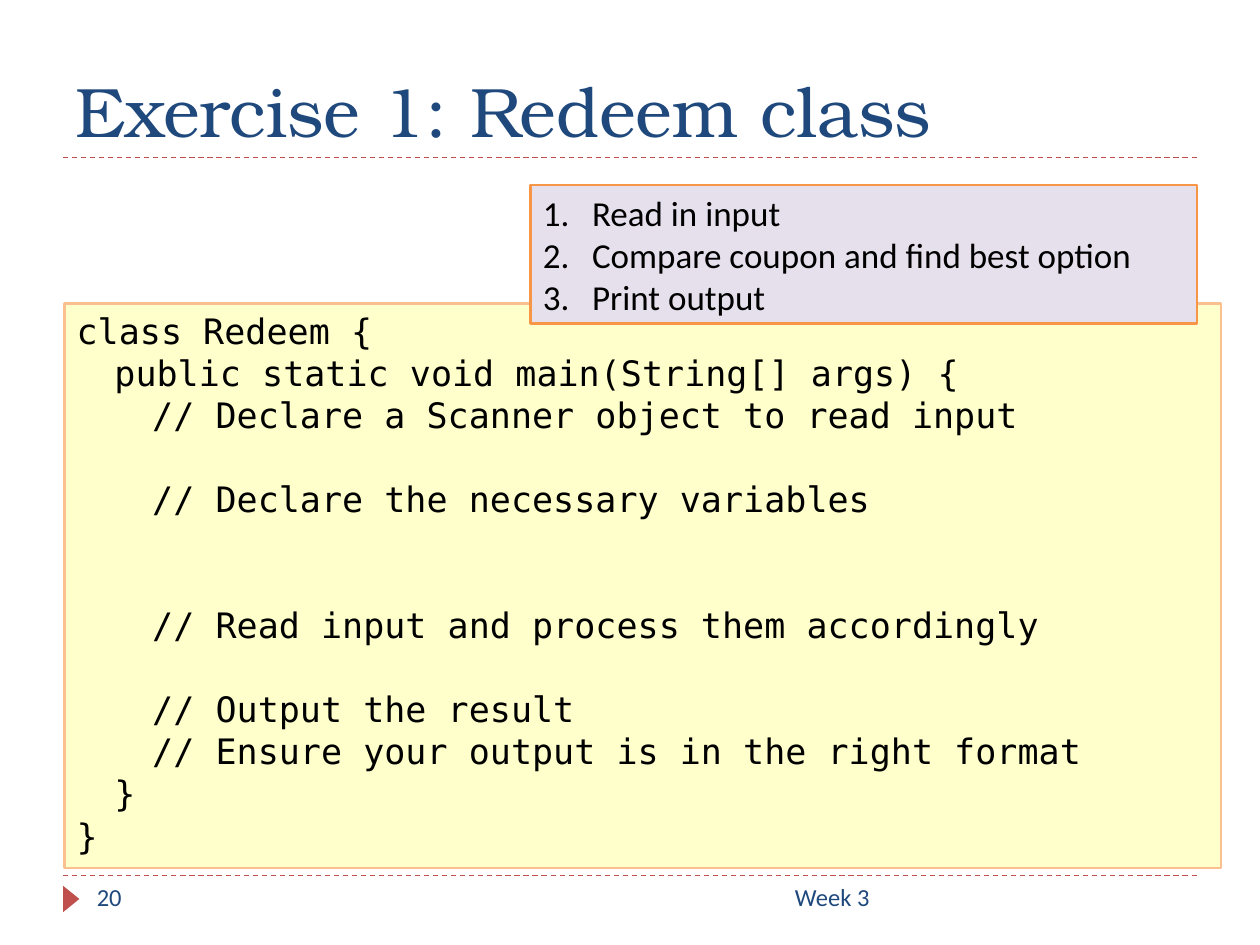
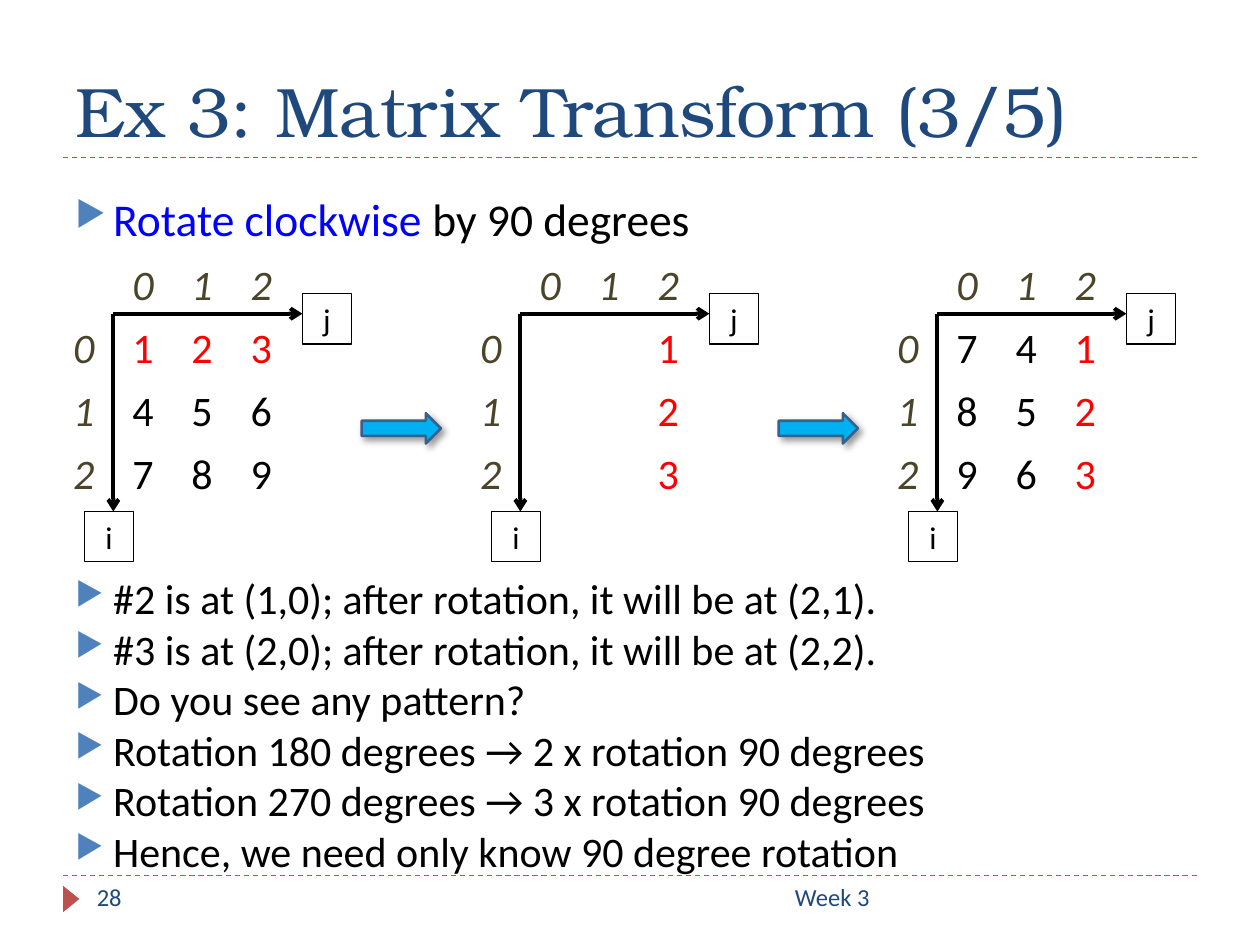
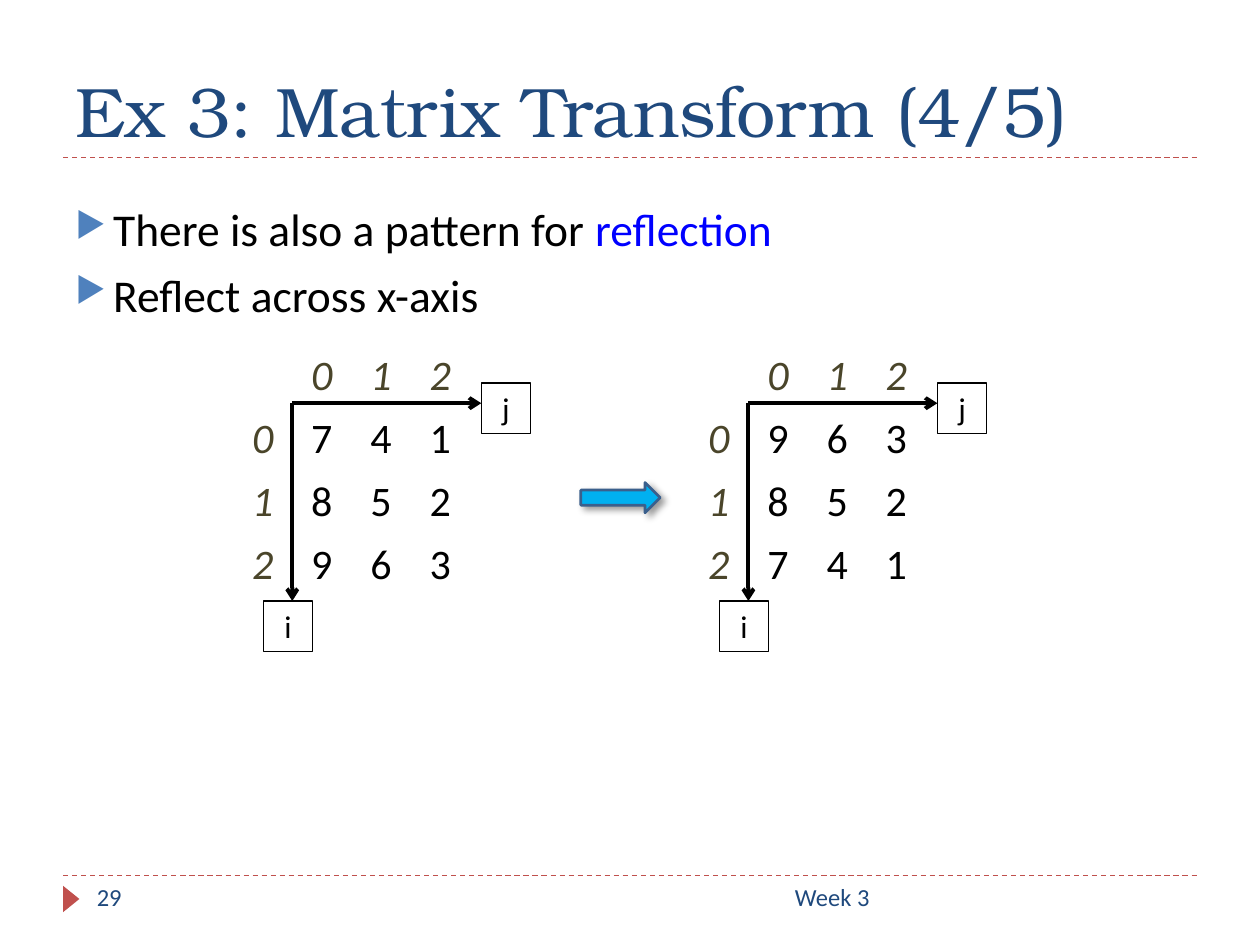
import pptx
import pptx.dml.color
import pptx.enum.dml
import pptx.enum.shapes
import pptx.enum.text
import pptx.oxml.ns
import pptx.util
from lxml import etree

Inches = pptx.util.Inches
Pt = pptx.util.Pt
Align = pptx.enum.text.PP_ALIGN
Preset = pptx.enum.shapes.MSO_SHAPE

COLORS = {
    "black": "000000",
    "navy": "1F497D",
    "rule": "C0504D",
    "bullet": "4F81BD",
    "highlight": "0000FF",
    "index": "4A452A",
    "tracked": "FF0000",
    "code_fill": "FFFFCC",
    "code_line": "FAC090",
    "steps_fill": "E6E0EC",
    "steps_line": "F79646",
    "arrow_fill": "00B0F0",
    "arrow_line": "3A5F8C",
}
BODY_FONT = "Calibri"
CODE_FONT = "DejaVu Sans Mono"
TITLE_FONT = "TeX Gyre Bonum"
CELL_WIDTH = 0.47
ROW_HEIGHT = 0.5
CODE_LINE = 24


def color(name):
    return pptx.dml.color.RGBColor.from_string(COLORS[name])


def add_child(parent, tag, **attributes):
    child = etree.SubElement(parent, pptx.oxml.ns.qn(tag))
    for name, value in attributes.items():
        child.set(name, str(value))
    return child


def add_run(paragraph, text, size, color_name="black", font=BODY_FONT, italic=False):
    run = paragraph.add_run()
    run.text = text
    run.font.size = Pt(size)
    run.font.name = font
    run.font.italic = italic
    run.font.color.rgb = color(color_name)


def add_paragraph(frame, index):
    return frame.add_paragraph() if index else frame.paragraphs[0]


def set_indent(paragraph, left, first=0):
    properties = paragraph._p.get_or_add_pPr()
    properties.set("marL", str(Inches(left)))
    properties.set("indent", str(Inches(first)))
    return properties


def add_text(slide, box, text, size, font=BODY_FONT, align=Align.LEFT,
             anchor=pptx.enum.text.MSO_ANCHOR.TOP):
    frame = slide.shapes.add_textbox(*map(Inches, box)).text_frame
    frame.word_wrap = True
    frame.vertical_anchor = anchor
    paragraph = frame.paragraphs[0]
    paragraph.alignment = align
    add_run(paragraph, text, size, "navy", font)


def add_shape(slide, preset, box, fill=None, line=None, width=0.75):
    shape = slide.shapes.add_shape(preset, *map(Inches, box))
    shape.shadow.inherit = False
    if fill:
        shape.fill.solid()
        shape.fill.fore_color.rgb = color(fill)
    else:
        shape.fill.background()
    if line:
        shape.line.color.rgb = color(line)
        shape.line.width = Pt(width)
    else:
        shape.line.fill.background()
    return shape


def add_line(slide, start, end, color_name, width, dashed=False, arrow=False):
    connector = slide.shapes.add_connector(
        pptx.enum.shapes.MSO_CONNECTOR.STRAIGHT, *map(Inches, start + end))
    connector.line.color.rgb = color(color_name)
    connector.line.width = Pt(width)
    if dashed:
        connector.line.dash_style = pptx.enum.dml.MSO_LINE.DASH
    if arrow:
        add_child(connector.line._get_or_add_ln(), "a:tailEnd", type="arrow")
    add_child(connector._element.spPr, "a:effectLst")


def add_base(presentation, title, number):
    slide = presentation.slides.add_slide(presentation.slide_layouts[6])
    for y in (6.95, 1.25):
        add_line(slide, (0.5, y), (9.5, y), "rule", 0.75, dashed=True)
    marker = add_shape(slide, Preset.ISOSCELES_TRIANGLE, (0.46, 7.07, 0.21, 0.13), "rule")
    marker.rotation = 90
    add_text(slide, (0.5, 0.17, 9, 1.08), title, 40, TITLE_FONT,
             anchor=pptx.enum.text.MSO_ANCHOR.BOTTOM)
    add_text(slide, (0.67, 6.95, 2.17, 0.4), str(number), 14)
    add_text(slide, (3.17, 6.95, 3.83, 0.4), "Week 3", 14, align=Align.RIGHT)
    return slide


def add_bullets(slide, box, items, size, space_before, line_spacing=1.0):
    frame = slide.shapes.add_textbox(*map(Inches, box)).text_frame
    frame.word_wrap = True
    for index, item in enumerate(items):
        paragraph = add_paragraph(frame, index)
        paragraph.space_before = Pt(space_before)
        paragraph.line_spacing = line_spacing
        properties = set_indent(paragraph, 0.3, -0.3)
        bullet_color = add_child(properties, "a:buClr")
        add_child(bullet_color, "a:srgbClr", val=COLORS["bullet"])
        add_child(properties, "a:buSzPct", val=76000)
        add_child(properties, "a:buChar", char="▶")
        for text, color_name in item:
            add_run(paragraph, text, size, color_name)


def add_steps(slide, box, steps):
    shape = add_shape(slide, Preset.RECTANGLE, box, "steps_fill", "steps_line", 1.5)
    frame = shape.text_frame
    frame.vertical_anchor = pptx.enum.text.MSO_ANCHOR.TOP
    for index, step in enumerate(steps):
        paragraph = add_paragraph(frame, index)
        paragraph.alignment = Align.LEFT
        properties = set_indent(paragraph, 0.39, -0.39)
        add_child(properties, "a:buFont", typeface="+mj-lt")
        add_child(properties, "a:buAutoNum", type="arabicPeriod")
        add_run(paragraph, step, 20)


def add_code(slide, box, lines):
    shape = add_shape(slide, Preset.RECTANGLE, box, "code_fill", "code_line", 1.5)
    frame = shape.text_frame
    frame.vertical_anchor = pptx.enum.text.MSO_ANCHOR.TOP
    for index, (level, gap_lines, text) in enumerate(lines):
        paragraph = add_paragraph(frame, index)
        paragraph.alignment = Align.LEFT
        paragraph.line_spacing = Pt(CODE_LINE)
        paragraph.space_before = Pt(CODE_LINE * gap_lines)
        set_indent(paragraph, 0.3 * level)
        add_run(paragraph, text, 20, font=CODE_FONT)


def add_axis_label(slide, left, top, text):
    shape = add_shape(slide, Preset.RECTANGLE, (left, top, 0.39, 0.4), line="black")
    paragraph = shape.text_frame.paragraphs[0]
    paragraph.alignment = Align.CENTER
    add_run(paragraph, text, 18)


def add_matrix(slide, left, top, rows, tracked=""):
    grid = [" 012"] + [f"{index}{row}" for index, row in enumerate(rows)]
    size = len(grid)
    table = slide.shapes.add_table(
        size, size, Inches(left), Inches(top),
        Inches(CELL_WIDTH * size), Inches(ROW_HEIGHT * size)).table
    table.first_row = False
    table.horz_banding = False
    for row, digits in enumerate(grid):
        for column, digit in enumerate(digits):
            cell = table.cell(row, column)
            cell.fill.background()
            if digit == " ":
                continue
            paragraph = cell.text_frame.paragraphs[0]
            paragraph.alignment = Align.CENTER
            is_index = row == 0 or column == 0
            value_color = "tracked" if digit in tracked else "black"
            add_run(paragraph, digit, 24, "index" if is_index else value_color,
                    italic=is_index)
    corner = (left + 0.47, top + 0.47)
    add_line(slide, corner, (left + 1.97, top + 0.47), "black", 2.25, arrow=True)
    add_line(slide, corner, (left + 0.47, top + 2.04), "black", 2.25, arrow=True)
    add_axis_label(slide, left + 1.97, top + 0.31, "j")
    add_axis_label(slide, left + 0.24, top + 2.04, "i")


def add_step_arrow(slide, left, top):
    arrow = add_shape(slide, Preset.RIGHT_ARROW, (left, top, 0.63, 0.24),
                      "arrow_fill", "arrow_line", 1.5)
    effects = arrow._element.spPr.find(pptx.oxml.ns.qn("a:effectLst"))
    shadow = add_child(effects, "a:outerShdw", blurRad=Pt(4), dist=Pt(3),
                       dir=45 * 60000, algn="tl", rotWithShape=0)
    shadow_color = add_child(shadow, "a:srgbClr", val=COLORS["black"])
    add_child(shadow_color, "a:alpha", val=40000)


def add_redeem_slide(presentation):
    slide = add_base(presentation, "Exercise 1: Redeem class", 20)
    add_code(slide, (0.51, 2.41, 9.18, 4.48), [
        (0, 0, "class Redeem {"),
        (1, 0, "public static void main(String[] args) {"),
        (2, 0, "// Declare a Scanner object to read input"),
        (2, 1, "// Declare the necessary variables"),
        (2, 2, "// Read input and process them accordingly"),
        (2, 1, "// Output the result"),
        (2, 0, "// Ensure your output is in the right format"),
        (1, 0, "}"),
        (0, 0, "}"),
    ])
    add_steps(slide, (4.21, 1.47, 5.29, 1.1), [
        "Read in input", "Compare coupon and find best option", "Print output"])


def add_rotation_slide(presentation):
    slide = add_base(presentation, "Ex 3: Matrix Transform (3/5)", 28)
    add_bullets(slide, (0.5, 1.47, 9, 0.63), [
        [("Rotate clockwise ", "highlight"), ("by 90 degrees", "black")]], 26, 6)
    observations = [
        "#2 is at (1,0); after rotation, it will be at (2,1).",
        "#3 is at (2,0); after rotation, it will be at (2,2).",
        "Do you see any pattern?",
        "Rotation 180 degrees → 2 x rotation 90 degrees",
        "Rotation 270 degrees → 3 x rotation 90 degrees",
        "Hence, we need only know 90 degree rotation",
    ]
    add_bullets(slide, (0.5, 4.54, 9, 2.52),
                [[(text, "black")] for text in observations], 24, 3, 0.9)
    stages = [
        (0.43, ("123", "456", "789")),
        (3.66, ("  1", "  2", "  3")),
        (6.97, ("741", "852", "963")),
    ]
    for left, rows in stages:
        add_matrix(slide, left, 2.02, rows, tracked="123")
    for left in (2.87, 6.18):
        add_step_arrow(slide, left, 3.28)


def add_reflection_slide(presentation):
    slide = add_base(presentation, "Ex 3: Matrix Transform (4/5)", 29)
    add_bullets(slide, (0.5, 1.55, 9, 5.28), [
        [("There is also a pattern for ", "black"), ("reflection", "highlight")],
        [("Reflect across x-axis", "black")],
    ], 26, 6)
    rows = ("741", "852", "963")
    add_matrix(slide, 1.85, 2.73, rows)
    add_matrix(slide, 5.47, 2.73, rows[::-1])
    add_step_arrow(slide, 4.61, 3.83)


def main():
    presentation = pptx.Presentation()
    presentation.slide_width = Inches(10)
    presentation.slide_height = Inches(7.5)
    add_redeem_slide(presentation)
    add_rotation_slide(presentation)
    add_reflection_slide(presentation)
    presentation.save("out.pptx")


if __name__ == "__main__":
    main()
